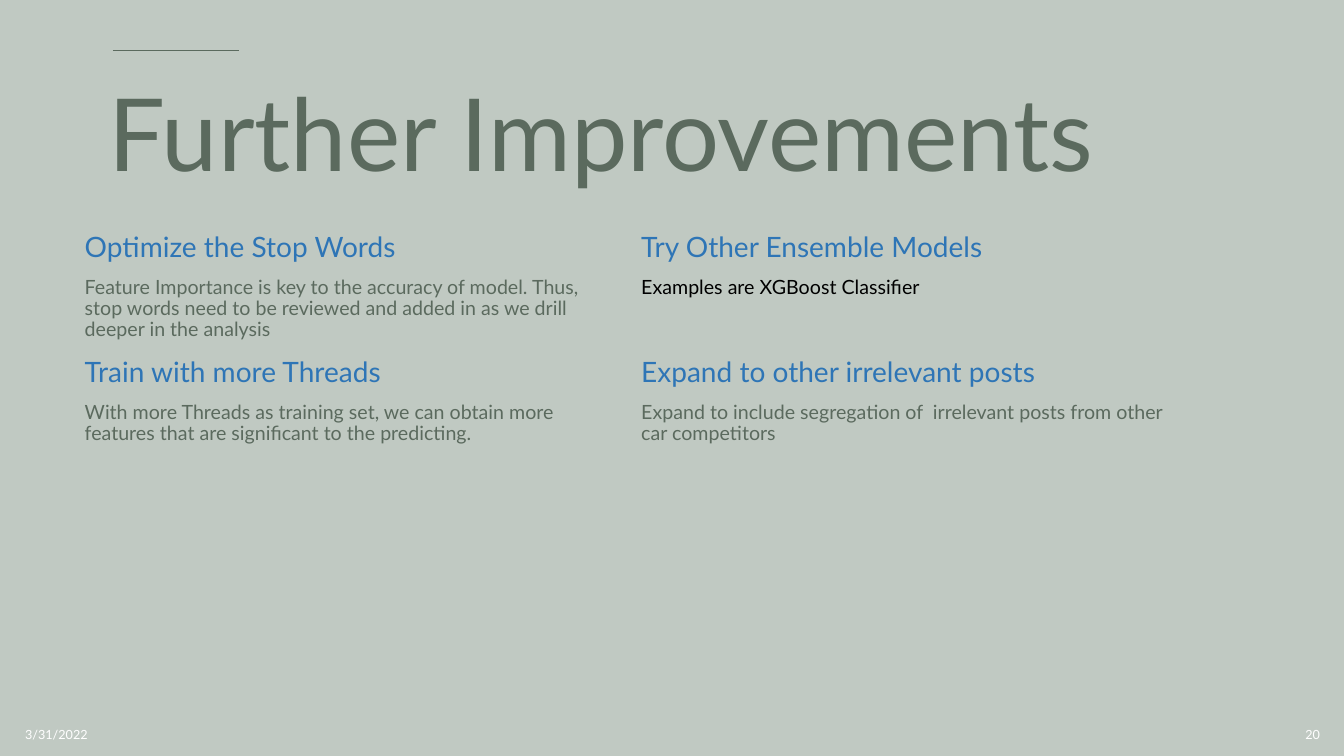
from lxml import etree
from pptx import Presentation
from pptx.dml.color import RGBColor
from pptx.enum.shapes import MSO_CONNECTOR
from pptx.enum.text import MSO_ANCHOR as Anchor, PP_ALIGN as Align
from pptx.oxml.ns import qn
from pptx.util import Inches, Pt

# Content
COLORS = {"background": "C0C9C2", "green": "5B6A5E", "blue": "2E75B6",
          "black": "000000", "white": "FFFFFF"}
FONT = "Lato"
# Each cell: heading, detail, detail colour
IMPROVEMENTS = [
    [("Optimize the Stop Words",
      "Feature Importance is key to the accuracy of model. Thus, stop words need "
      "to be reviewed and added in as we drill deeper in the analysis ", "green"),
     ("Try Other Ensemble Models", "Examples are XGBoost Classifier", "black")],
    [("Train with more Threads",
      "With more Threads as training set, we can obtain more features that are "
      "significant to the predicting.", "green"),
     ("Expand to other irrelevant posts",
      "Expand to include segregation of  irrelevant posts from other car competitors",
      "green")],
]
COLUMN_WIDTHS = (5.52, 5.54)
ROW_HEIGHTS = (1.24, 1.2)
# Each text box: text, place, size, colour, paragraph format
TEXT_BOXES = [
    ("Further Improvements", (0.98, 0.63, 11.77, 1.5), 72, "green", {"line_spacing": 0.9}),
    ("3/31/2022", (0.15, 7.09, 3, 0.4), 9, "white", {"alignment": Align.LEFT}),
    ("20", (10.19, 7.09, 3, 0.4), 9, "white", {"alignment": Align.RIGHT}),
]
CELL_PARAGRAPH = {"line_spacing": 0.9, "space_before": Pt(10)}


def color(name):
    return RGBColor.from_string(COLORS[name])


def write(paragraph, text, size, color_name, paragraph_format):
    for name, value in paragraph_format.items():
        setattr(paragraph, name, value)
    run = paragraph.add_run()
    run.text = text
    for name, value in {"name": FONT, "size": Pt(size), "bold": False}.items():
        setattr(run.font, name, value)
    run.font.color.rgb = color(color_name)


def clear_cell(cell):
    properties = cell._tc.get_or_add_tcPr()
    for side in ("a:lnL", "a:lnR", "a:lnT", "a:lnB"):
        border = etree.SubElement(properties, qn(side), w="0")
        etree.SubElement(border, qn("a:noFill"))
    cell.fill.background()


# Slide
presentation = Presentation()
presentation.slide_width, presentation.slide_height = Inches(13.33), Inches(7.5)
slide = presentation.slides.add_slide(presentation.slide_layouts[6])
slide.background.fill.solid()
slide.background.fill.fore_color.rgb = color("background")

# Accent line above the title
accent = slide.shapes.add_connector(
    MSO_CONNECTOR.STRAIGHT, Inches(1.12), Inches(0.5), Inches(2.37), Inches(0.5))
accent.line.width = Pt(1.25)
accent.line.color.rgb = color("green")
etree.SubElement(accent._element.spPr, qn("a:effectLst"))

# Title and footer
for text, place, size, color_name, paragraph_format in TEXT_BOXES:
    frame = slide.shapes.add_textbox(*map(Inches, place)).text_frame
    frame.word_wrap = True
    frame.vertical_anchor = Anchor.MIDDLE
    write(frame.paragraphs[0], text, size, color_name, paragraph_format)

# Table of improvements
table = slide.shapes.add_table(
    len(ROW_HEIGHTS), len(COLUMN_WIDTHS), Inches(0.74), Inches(2.26),
    Inches(sum(COLUMN_WIDTHS)), Inches(sum(ROW_HEIGHTS))).table
table.first_row = table.horz_banding = False
for column, width in zip(table.columns, COLUMN_WIDTHS):
    column.width = Inches(width)
for row, height, items in zip(table.rows, ROW_HEIGHTS, IMPROVEMENTS):
    row.height = Inches(height)
    for cell, (heading, detail, detail_color) in zip(row.cells, items):
        clear_cell(cell)
        frame = cell.text_frame
        write(frame.paragraphs[0], heading, 20, "blue", CELL_PARAGRAPH)
        write(frame.add_paragraph(), detail, 14, detail_color, CELL_PARAGRAPH)

presentation.save("out.pptx")
